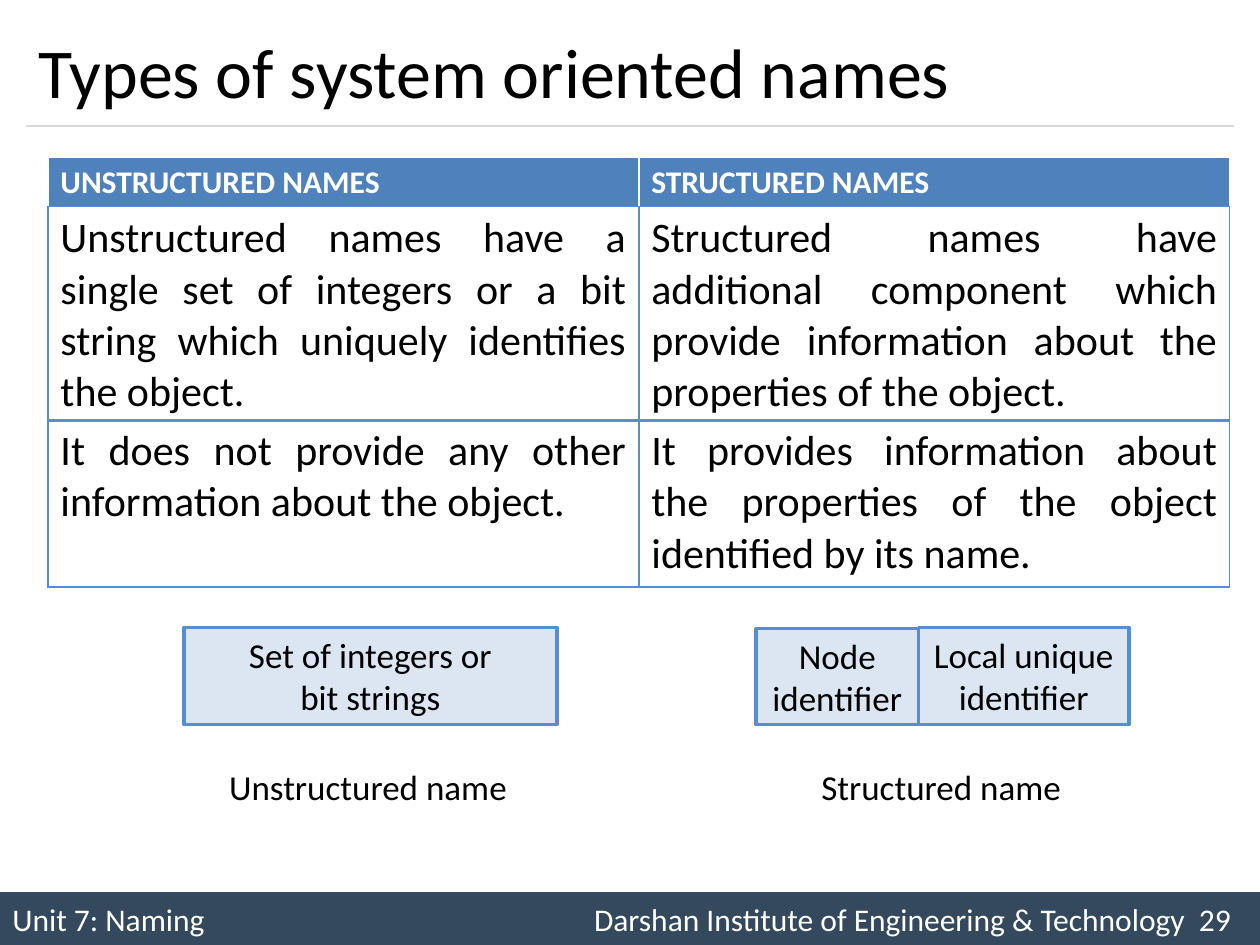
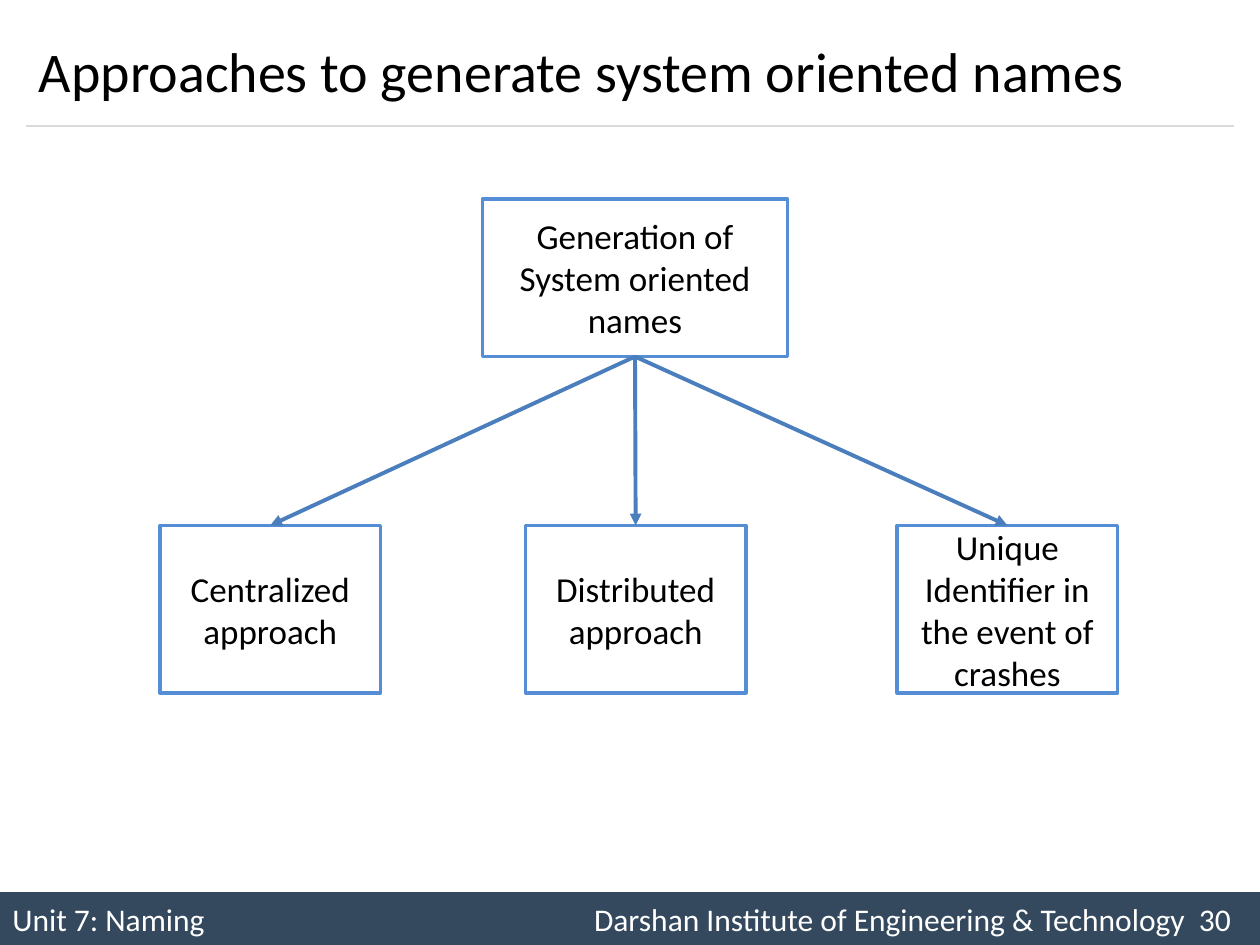
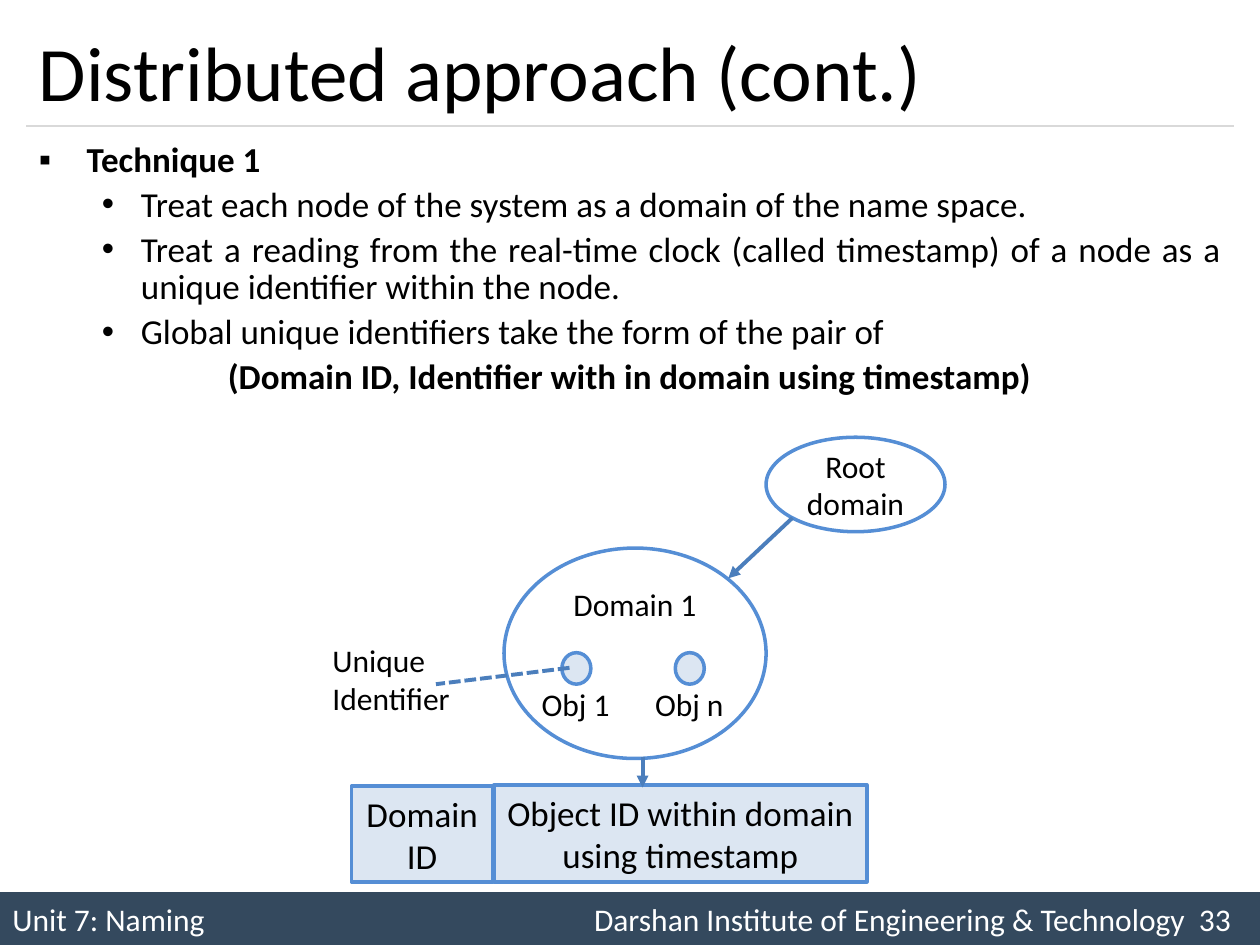
from dataclasses import dataclass

from lxml import etree
from pptx import Presentation
from pptx import util as u
from pptx.dml.color import RGBColor
from pptx.enum import dml, shapes, text
from pptx.oxml import ns

Inches = u.Inches
LEFT, CENTER, JUSTIFY = text.PP_ALIGN.LEFT, text.PP_ALIGN.CENTER, text.PP_ALIGN.JUSTIFY
TOP, MIDDLE = text.MSO_ANCHOR.TOP, text.MSO_ANCHOR.MIDDLE
RECT, OVAL = shapes.MSO_SHAPE.RECTANGLE, shapes.MSO_SHAPE.OVAL


@dataclass(frozen=True)
class Theme:
    font: str = "Calibri"
    ink: str = "000000"
    paper: str = "FFFFFF"
    band: str = "34495E"
    rule: str = "D9D9D9"
    header: str = "4F81BD"
    outline: str = "558ED5"
    tint: str = "DCE6F2"
    arrow: str = "4B7EBC"
    title: int = 44
    cell: int = 24
    body: int = 20
    small: int = 18


def child(parent, tag, **attributes):
    return etree.SubElement(parent, ns.qn(tag), **attributes)


def area(left, top, width, height):
    return [Inches(value) for value in (left, top, width, height)]


class Deck:
    def __init__(self, theme):
        self.theme = theme
        self.presentation = Presentation()
        self.presentation.slide_width = Inches(10)
        self.presentation.slide_height = Inches(7.5)
        self.slide = None

    def start(self, title, number, size=None):
        self.slide = self.presentation.slides.add_slide(self.presentation.slide_layouts[6])
        self.footer(number)
        self.line((0.21, 1), (9.79, 1), self.theme.rule, 0.75, arrow=False)
        self.label((0.21, 0.12, 9.58, 0.88), [title], size or self.theme.title, MIDDLE, wrap=True)

    def footer(self, number):
        band = self.box((0, 7.08, 10, 0.42), [], fill=self.theme.band, outline=None)
        paragraph = band.text_frame.paragraphs[0]
        paragraph.alignment = LEFT
        stops = child(paragraph._p.get_or_add_pPr(), "a:tabLst")
        for position in (9.31, 9.67):
            child(stops, "a:tab", pos=str(Inches(position)), algn="r")
        wording = f"Unit 7: Naming\tDarshan Institute of Engineering & Technology\t{number}"
        self.add_words(paragraph, wording, self.theme.small, self.theme.paper)

    def add_words(self, paragraph, wording, size, color=None, bold=False):
        run = paragraph.add_run()
        run.text = wording
        run.font.name = self.theme.font
        run.font.size = u.Pt(size)
        run.font.bold = bold
        run.font.color.rgb = RGBColor.from_string(color or self.theme.ink)

    def add_lines(self, frame, lines, size, align=LEFT, color=None, bold=False):
        for index, wording in enumerate(lines):
            paragraph = frame.add_paragraph() if index else frame.paragraphs[0]
            paragraph.alignment = align
            self.add_words(paragraph, wording, size, color, bold)

    def label(self, place, lines, size, anchor=TOP, wrap=False):
        frame = self.slide.shapes.add_textbox(*area(*place)).text_frame
        frame.word_wrap = wrap
        frame.vertical_anchor = anchor
        self.add_lines(frame, lines, size)

    def box(self, place, lines, kind=RECT, fill=Theme.paper, outline=Theme.outline,
            size=Theme.body, anchor=MIDDLE):
        shape = self.slide.shapes.add_shape(kind, *area(*place))
        shape.shadow.inherit = False
        shape.fill.solid()
        shape.fill.fore_color.rgb = RGBColor.from_string(fill)
        if outline:
            shape.line.color.rgb = RGBColor.from_string(outline)
            shape.line.width = u.Pt(2)
        else:
            shape.line.fill.background()
        shape.text_frame.word_wrap = True
        shape.text_frame.vertical_anchor = anchor
        self.add_lines(shape.text_frame, lines, size, CENTER)
        return shape

    def line(self, start, end, color=Theme.arrow, width=2.25, arrow=True, dash=None):
        points = [Inches(value) for value in (*start, *end)]
        connector = self.slide.shapes.add_connector(shapes.MSO_CONNECTOR.STRAIGHT, *points)
        connector.line.color.rgb = RGBColor.from_string(color)
        connector.line.width = u.Pt(width)
        if dash:
            connector.line.dash_style = dash
        if arrow:
            child(connector.line._get_or_add_ln(), "a:tailEnd", type="triangle")
        child(connector._element.spPr, "a:effectLst")
        return connector

    def branch(self, parent, offspring):
        arrow = self.line((0, 0), (1, 1))
        arrow.begin_connect(parent, 2)
        arrow.end_connect(offspring, 0)

    def table_row(self, top, height, wordings, border, size, align=JUSTIFY, color=None,
                  bold=False, fill=None):
        table = self.slide.shapes.add_table(1, 2, *area(0.38, top, 9.38, height)).table
        table.first_row = table.horz_banding = False
        for cell, wording in zip(table.rows[0].cells, wordings):
            self.add_lines(cell.text_frame, [wording], size, align, color, bold)
            properties = cell._tc.get_or_add_tcPr()
            for side in "LRTB":
                edge = child(properties, f"a:ln{side}", w=str(u.Pt(1)))
                child(child(edge, "a:solidFill"), "a:srgbClr", val=border)
            if fill:
                cell.fill.solid()
                cell.fill.fore_color.rgb = RGBColor.from_string(fill)
            else:
                cell.fill.background()

    def outline_list(self, place, items):
        frame = self.slide.shapes.add_textbox(*area(*place)).text_frame
        frame.word_wrap = True
        for index, (wording, level, bullet, margin, hanging, bold) in enumerate(items):
            paragraph = frame.add_paragraph() if index else frame.paragraphs[0]
            paragraph.level = level
            paragraph.alignment = JUSTIFY
            paragraph.line_spacing = 0.9
            if index:
                paragraph.space_before = u.Pt(4)
            properties = paragraph._p.get_or_add_pPr()
            properties.set("marL", str(Inches(margin)))
            properties.set("indent", str(-Inches(hanging)))
            if bullet:
                child(properties, "a:buFont", typeface="Arial")
                child(properties, "a:buChar", char=bullet)
            self.add_words(paragraph, wording, self.theme.body, bold=bold)


def name_types(deck):
    theme = deck.theme
    deck.start("Types of system oriented names", 29, 40)
    deck.table_row(1.25, 0.39, ["UNSTRUCTURED NAMES", "STRUCTURED NAMES"], theme.paper,
                   theme.small, LEFT, theme.paper, True, theme.header)
    deck.table_row(1.64, 1.7, [
        "Unstructured names have a single set of integers or a bit string which uniquely "
        "identifies the object.",
        "Structured names have additional component which provide information about the "
        "properties of the object.",
    ], theme.outline, theme.cell)
    deck.table_row(3.33, 1.33, [
        "It does not provide any other information about the object.",
        "It provides information about the properties of the object identified by its name.",
    ], theme.outline, theme.cell)
    deck.box((1.46, 4.98, 2.96, 0.77), ["Set of integers or", "bit strings"], fill=theme.tint)
    deck.box((7.29, 4.98, 1.67, 0.77), ["Local unique", "identifier"], fill=theme.tint)
    deck.box((6, 4.99, 1.29, 0.76), ["Node", "identifier"], fill=theme.tint)
    deck.label((1.72, 6.03, 2.43, 0.44), ["Unstructured name"], theme.body)
    deck.label((6.42, 6.03, 2.12, 0.44), ["Structured name"], theme.body)


def generation_approaches(deck):
    deck.start("Approaches to generate system oriented names", 30, 32)
    generation = deck.box((3.83, 1.58, 2.42, 1.25), ["Generation of System oriented names"])
    approaches = [
        (1.27, ["Centralized", "approach"]),
        (4.17, ["Distributed", "approach"]),
        (7.12, ["Unique Identifier in the event of crashes"]),
    ]
    for left, lines in approaches:
        approach = deck.box((left, 4.17, 1.75, 1.33), lines)
        deck.branch(generation, approach)


def distributed_approach(deck):
    theme = deck.theme
    deck.start("Distributed approach (cont.)", 33)
    point = (1, "•", 0.81, 0.31, False)
    deck.outline_list((0.21, 1.08, 9.58, 2.28), [
        ("Technique 1", 0, "▪", 0.38, 0.38, True),
        ("Treat each node of the system as a domain of the name space.", *point),
        ("Treat a reading from the real-time clock (called timestamp) of a node as a unique "
         "identifier within the node.", *point),
        ("Global unique identifiers take the form of the pair of", *point),
        ("(Domain ID, Identifier with in domain using timestamp)", 1, None, 1.5, 0, True),
    ])
    deck.box((6.08, 3.47, 1.42, 0.75), ["Root domain"], OVAL, size=theme.small)
    deck.box((4, 4.35, 2.08, 1.67), ["Domain 1"], OVAL, size=theme.small, anchor=TOP)
    for left, name in ((4.2, "Obj 1"), (5.1, "Obj n")):
        deck.box((left + 0.26, 5.18, 0.23, 0.25), [], OVAL, fill=theme.tint)
        deck.label((left, 5.39, 0.75, 0.4), [name], theme.small)
    deck.box((3.92, 6.23, 2.96, 0.77), ["Object ID within domain using timestamp"],
             fill=theme.tint)
    deck.box((2.79, 6.24, 1.12, 0.76), ["Domain ID"], fill=theme.tint)
    deck.line((6.29, 4.11), (5.78, 4.59))
    deck.line((4.52, 5.3), (3.46, 5.43), arrow=False, dash=dml.MSO_LINE.SQUARE_DOT)
    deck.label((2.54, 5.04, 1.15, 0.71), ["Unique", "Identifier"], theme.small)
    deck.line((5.1, 6.01), (5.1, 6.25))


def main():
    deck = Deck(Theme())
    name_types(deck)
    generation_approaches(deck)
    distributed_approach(deck)
    deck.presentation.save("out.pptx")


if __name__ == "__main__":
    main()
